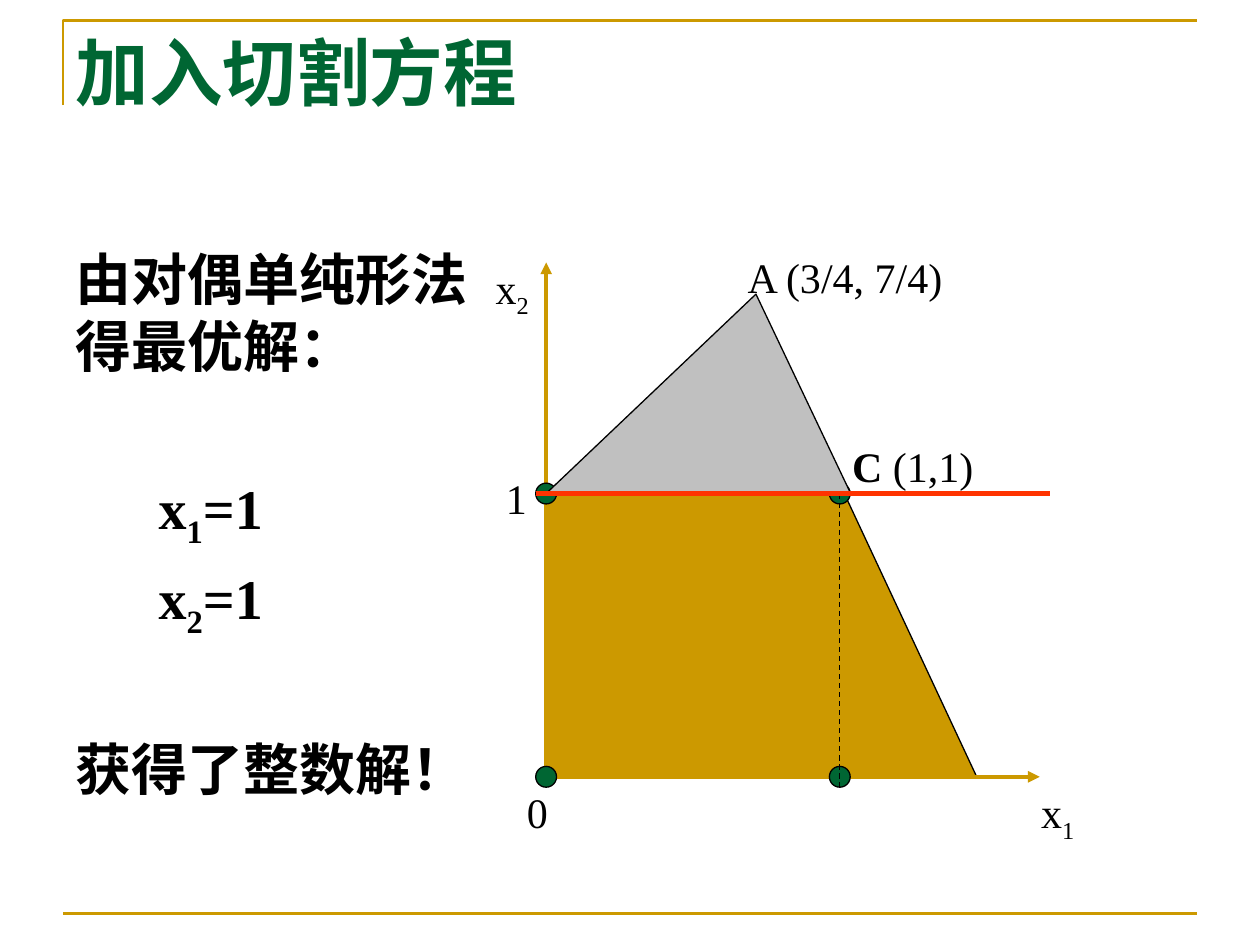
from dataclasses import dataclass

from pptx import Presentation
from pptx.dml.color import RGBColor
from pptx.enum.dml import MSO_LINE
from pptx.enum.lang import MSO_LANGUAGE_ID
from pptx.enum.shapes import MSO_CONNECTOR, MSO_SHAPE
from pptx.enum.text import MSO_ANCHOR, PP_ALIGN
from pptx.oxml.ns import qn
from pptx.util import Cm, Pt
from lxml import etree

STRAIGHT = MSO_CONNECTOR.STRAIGHT
OVAL = MSO_SHAPE.OVAL
DASH = MSO_LINE.DASH
TOP = MSO_ANCHOR.TOP
LEFT = PP_ALIGN.LEFT
CHINESE = MSO_LANGUAGE_ID.SIMPLIFIED_CHINESE


@dataclass(frozen=True)
class Theme:
    font: str = "Times New Roman"
    gold: str = "CC9900"
    green: str = "006633"
    grey: str = "C0C0C0"
    red: str = "FF3300"
    black: str = "000000"
    title_size: int = 42
    body_size: int = 32
    label_size: int = 24


THEME = Theme()
Point = tuple[float, float]


@dataclass(frozen=True)
class Piece:
    text: str
    bold: bool = False
    subscript: bool = False


@dataclass(frozen=True)
class Label:
    left: float
    top: float
    width: float
    pieces: tuple[Piece, ...]


@dataclass(frozen=True)
class Statement:
    pieces: tuple[Piece, ...]
    space_before: float = 0
    indent: float = 0


@dataclass(frozen=True)
class Segment:
    start: Point
    end: Point
    color: str
    width: float
    dashed: bool = False
    arrow: bool = False


def rgb(color: str) -> RGBColor:
    return RGBColor.from_string(color)


def format_font(font, size: float, color: str, bold: bool) -> None:
    font.name, font.size, font.bold = THEME.font, Pt(size), bold
    font.color.rgb = rgb(color)
    font.language_id = CHINESE


def add_pieces(paragraph, pieces: tuple[Piece, ...], size: float) -> None:
    for piece in pieces:
        run = paragraph.add_run()
        run.text = piece.text
        format_font(run.font, size, THEME.black, piece.bold)
        if piece.subscript:
            run._r.get_or_add_rPr().set("baseline", "-25000")


def draw_segment(shapes, segment: Segment) -> None:
    ends = [Cm(v) for v in segment.start + segment.end]
    connector = shapes.add_connector(STRAIGHT, *ends)
    connector.line.color.rgb = rgb(segment.color)
    connector.line.width = Pt(segment.width)
    if segment.dashed:
        connector.line.dash_style = DASH
    if segment.arrow:
        outline = connector.line._get_or_add_ln()
        etree.SubElement(outline, qn("a:tailEnd"), type="triangle")
    etree.SubElement(connector._element.spPr, qn("a:effectLst"))


def draw_outline(shapes, points: list[Point], line: str, width: float,
                 fill: str | None = None) -> None:
    corners = [(Cm(x), Cm(y)) for x, y in points]
    builder = shapes.build_freeform(*corners[0])
    builder.add_line_segments(corners[1:], close=fill is not None)
    outline = builder.convert_to_shape()
    outline.shadow.inherit = False
    outline.line.color.rgb = rgb(line)
    outline.line.width = Pt(width)
    if fill:
        outline.fill.solid()
        outline.fill.fore_color.rgb = rgb(fill)
    else:
        outline.fill.background()


def draw_dot(shapes, center: Point, size: float = 0.42) -> None:
    left, top = (Cm(v - size / 2) for v in center)
    dot = shapes.add_shape(OVAL, left, top, Cm(size), Cm(size))
    dot.shadow.inherit = False
    dot.fill.solid()
    dot.fill.fore_color.rgb = rgb(THEME.green)
    dot.line.color.rgb = rgb(THEME.black)
    dot.line.width = Pt(0.75)


def draw_label(shapes, label: Label) -> None:
    box = shapes.add_textbox(Cm(label.left), Cm(label.top), Cm(label.width), Cm(1.27))
    box.text_frame.word_wrap = True
    add_pieces(box.text_frame.paragraphs[0], label.pieces, THEME.label_size)


def draw_statements(shapes, statements: list[Statement]) -> None:
    box = shapes.add_textbox(Cm(1.27), Cm(4.8), Cm(8.69), Cm(13.6))
    frame = box.text_frame
    frame.word_wrap = True
    for index, statement in enumerate(statements):
        paragraph = frame.add_paragraph() if index else frame.paragraphs[0]
        if statement.indent:
            properties = paragraph._p.get_or_add_pPr()
            properties.set("marL", str(Cm(statement.indent)))
        paragraph.space_before = Pt(statement.space_before)
        add_pieces(paragraph, statement.pieces, THEME.body_size)


def variable(index: str, bold: bool = False) -> tuple[Piece, ...]:
    return Piece("x", bold), Piece(index, bold, subscript=True)


# Key points of the diagram, in centimetres
ORIGIN = (11.01, 15.66)
X_ONE = (16.93, 15.66)
Y_ONE = (11.01, 9.95)
VERTEX_C = (16.93, 9.95)
CUT_CORNER = (17.15, 9.95)

AXES_AND_GUIDE = [
    Segment(ORIGIN, (20.96, 15.66), THEME.gold, 2.25, arrow=True),
    Segment(ORIGIN, (11.01, 5.29), THEME.gold, 2.25, arrow=True),
    Segment(Y_ONE, CUT_CORNER, THEME.black, 0.75, dashed=True),
]
DROP_LINE = Segment(VERTEX_C, (16.93, 15.88), THEME.black, 0.75, dashed=True)
CUT_LINE = Segment((10.8, 9.95), (21.17, 9.95), THEME.red, 3)
FOOT_RULE = Segment((1.27, 18.42), (24.13, 18.42), THEME.gold, 1.5)

LABELS = [
    Label(9.74, 5.16, 1.69, variable("2")),
    Label(10.37, 15.74, 1.69, (Piece("0"),)),
    Label(9.95, 9.4, 1.69, (Piece("1"),)),
    Label(16.93, 8.76, 4.45, (Piece("C", bold=True), Piece(" (1,1)"))),
    Label(14.82, 4.94, 4.87, (Piece("A (3/4, 7/4)"),)),
    Label(20.74, 15.74, 1.69, variable("1")),
]

EQUALS_ONE = Piece("=1", bold=True)
STATEMENTS = [
    Statement((Piece("由对偶单纯形法得最优解：", bold=True),)),
    Statement((*variable("1", bold=True), EQUALS_ONE), 54, 1.68),
    Statement((*variable("2", bold=True), EQUALS_ONE), 8, 1.68),
    Statement((Piece("获得了整数解！", bold=True),), 54),
]


def main() -> None:
    deck = Presentation()
    deck.slide_width, deck.slide_height = Cm(25.4), Cm(19.05)
    slide = deck.slides.add_slide(deck.slide_layouts[5])
    shapes = slide.shapes

    # Slide frame
    draw_outline(shapes, [(1.27, 2.12), (1.27, 0.42), (24.13, 0.42)], THEME.gold, 1.5)
    draw_segment(shapes, FOOT_RULE)

    # Title
    title = shapes.title
    title.left, title.top, title.width, title.height = Cm(1.27), Cm(0.42), Cm(22.86), Cm(2.54)
    title.text_frame.text = "加入切割方程"
    title.text_frame.vertical_anchor = TOP
    heading = title.text_frame.paragraphs[0]
    heading.alignment = LEFT
    format_font(heading.runs[0].font, THEME.title_size, THEME.green, True)

    # Feasible region, axes and integer points
    region = [ORIGIN, Y_ONE, (15.24, 6.14), (19.69, 15.66)]
    draw_outline(shapes, region, THEME.black, 0.75, THEME.gold)
    for segment in AXES_AND_GUIDE:
        draw_segment(shapes, segment)
    for center in (VERTEX_C, Y_ONE, X_ONE, ORIGIN):
        draw_dot(shapes, center)
    draw_segment(shapes, DROP_LINE)
    for label in LABELS:
        draw_label(shapes, label)

    # Solution text
    draw_statements(shapes, STATEMENTS)

    # Part removed by the cut
    draw_outline(shapes, [Y_ONE, CUT_CORNER, (15.24, 5.93)], THEME.black, 0.75, THEME.grey)
    draw_segment(shapes, CUT_LINE)

    deck.save("out.pptx")


if __name__ == "__main__":
    main()
